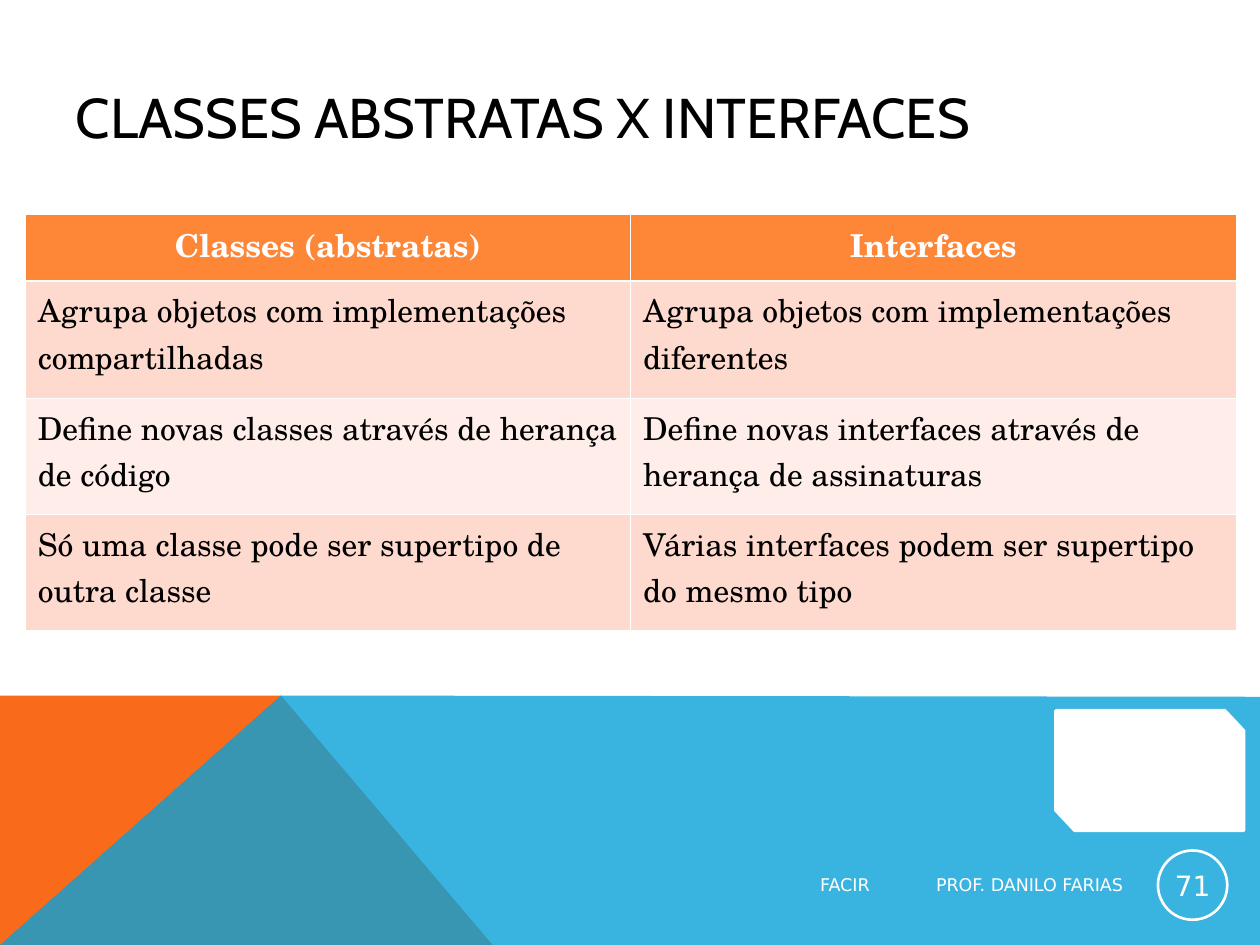
from lxml import etree
from pptx import Presentation
from pptx import util as u
from pptx.dml.color import RGBColor
from pptx.enum import shapes, text
from pptx.oxml import ns

COLORS = {
    "white": "FFFFFF",
    "black": "000000",
    "orange": "F96A1B",
    "blue": "08A1D9",
    "header": "FE8637",
    "odd": "FED9CD",
    "even": "FEEDE8",
}
BODY_FONT = "TeX Gyre Schola"
FOOTER_FONT = "DejaVu Sans"


def add_outline(slide, points, color):
    corners = [(u.Inches(x), u.Inches(y)) for x, y in points]
    builder = slide.shapes.build_freeform(*corners[0])
    builder.add_line_segments(corners[1:], close=True)
    outline = builder.convert_to_shape()
    outline.shadow.inherit = False
    outline.fill.solid()
    outline.fill.fore_color.rgb = RGBColor.from_string(COLORS[color])
    outline.line.fill.background()
    return outline


def write(frame, words, font, size, color, align, bold=False, tab=None):
    frame.text = words
    paragraph = frame.paragraphs[0]
    paragraph.alignment = align
    if tab:
        tabs = etree.SubElement(paragraph._p.get_or_add_pPr(), ns.qn("a:tabLst"))
        etree.SubElement(tabs, ns.qn("a:tab"), pos=str(u.Inches(tab)), algn="l")
    for name, value in {"name": font, "size": u.Pt(size), "bold": bold}.items():
        setattr(paragraph.font, name, value)
    paragraph.font.color.rgb = RGBColor.from_string(COLORS[color])


prs = Presentation()
prs.slide_width, prs.slide_height = u.Inches(10), u.Inches(7.5)
slide = prs.slides.add_slide(prs.slide_layouts[5])
left, center = text.PP_ALIGN.LEFT, text.PP_ALIGN.CENTER
white = RGBColor.from_string(COLORS["white"])

add_outline(slide, [(0, 7.5), (0, 5.52), (2.23, 5.52), (3.91, 7.5)], "orange")
blue_band = add_outline(slide, [(0, 7.5), (2.23, 5.52), (10, 5.53), (10, 7.5)], "blue")
band_color = blue_band.element.spPr.find(".//" + ns.qn("a:srgbClr"))
etree.SubElement(band_color, ns.qn("a:alpha"), val="80000")
snipped_panel = add_outline(
    slide,
    [(8.38, 5.64), (9.72, 5.64), (9.87, 5.8), (9.87, 6.59), (8.53, 6.59), (8.38, 6.43)],
    "white",
)
snipped_panel.line.color.rgb = white
snipped_panel.line.width = u.Pt(2)

heading = slide.shapes.title
place = {"left": 0.5, "top": 0.3, "width": 8.17, "height": 1.25}
for name, value in place.items():
    setattr(heading, name, u.Inches(value))
heading.text_frame.auto_size = text.MSO_AUTO_SIZE.NONE
heading.text_frame.vertical_anchor = text.MSO_ANCHOR.MIDDLE
write(heading.text_frame, "CLASSES ABSTRATAS X INTERFACES", "Cabin", 32, "black", left)

comparison = [
    ("Classes (abstratas)", "Interfaces"),
    ("Agrupa objetos com implementações compartilhadas",
     "Agrupa objetos com implementações diferentes"),
    ("Define novas classes através de herança de código",
     "Define novas interfaces através de herança de assinaturas"),
    ("Só uma classe pode ser supertipo de outra classe",
     "Várias interfaces podem ser supertipo do mesmo tipo"),
]
row_heights = [0.53, 0.93, 0.92, 0.92]
row_fills = ["header", "odd", "even", "odd"]
table = slide.shapes.add_table(
    4, 2, u.Inches(0.2), u.Inches(1.7), u.Inches(9.61), u.Inches(sum(row_heights))
).table
for r, (entries, height, fill) in enumerate(zip(comparison, row_heights, row_fills)):
    table.rows[r].height = u.Inches(height)
    is_header = r == 0
    for c, entry in enumerate(entries):
        cell = table.cell(r, c)
        write(cell.text_frame, entry, BODY_FONT, 18,
              "white" if is_header else "black", center if is_header else left, is_header)
        borders = cell._tc.get_or_add_tcPr()
        for side in "LRTB":
            thick = (r, side) in [(0, "B"), (1, "T")]
            border = etree.SubElement(borders, ns.qn("a:ln" + side),
                                      w=str(u.Pt(1.47 if thick else 0.45)))
            paint = etree.SubElement(border, ns.qn("a:solidFill"))
            etree.SubElement(paint, ns.qn("a:srgbClr"), val=COLORS["white"])
        cell.fill.solid()
        cell.fill.fore_color.rgb = RGBColor.from_string(COLORS[fill])

footer = slide.shapes.add_textbox(
    u.Inches(3.85), u.Inches(6.87), u.Inches(5.17), u.Inches(0.3)
).text_frame
footer_format = {
    "word_wrap": True,
    "vertical_anchor": text.MSO_ANCHOR.MIDDLE,
    "margin_left": u.Inches(2.66),
    "margin_right": 0,
}
for name, value in footer_format.items():
    setattr(footer, name, value)
write(footer, "FACIR\tPROF. DANILO FARIAS", FOOTER_FONT, 10, "white", left, tab=0.92)

page_circle = slide.shapes.add_shape(
    shapes.MSO_SHAPE.OVAL, u.Inches(9.19), u.Inches(6.75), u.Inches(0.55), u.Inches(0.55)
)
page_circle.shadow.inherit = False
page_circle.fill.background()
page_circle.line.color.rgb = white
page_circle.line.width = u.Pt(1.5)
page_number = page_circle.text_frame
for side in ["left", "top", "right", "bottom"]:
    setattr(page_number, "margin_" + side, u.Inches(0.01))
page_number.vertical_anchor = text.MSO_ANCHOR.MIDDLE
write(page_number, "71", FOOTER_FONT, 16, "white", center)

prs.save("out.pptx")
